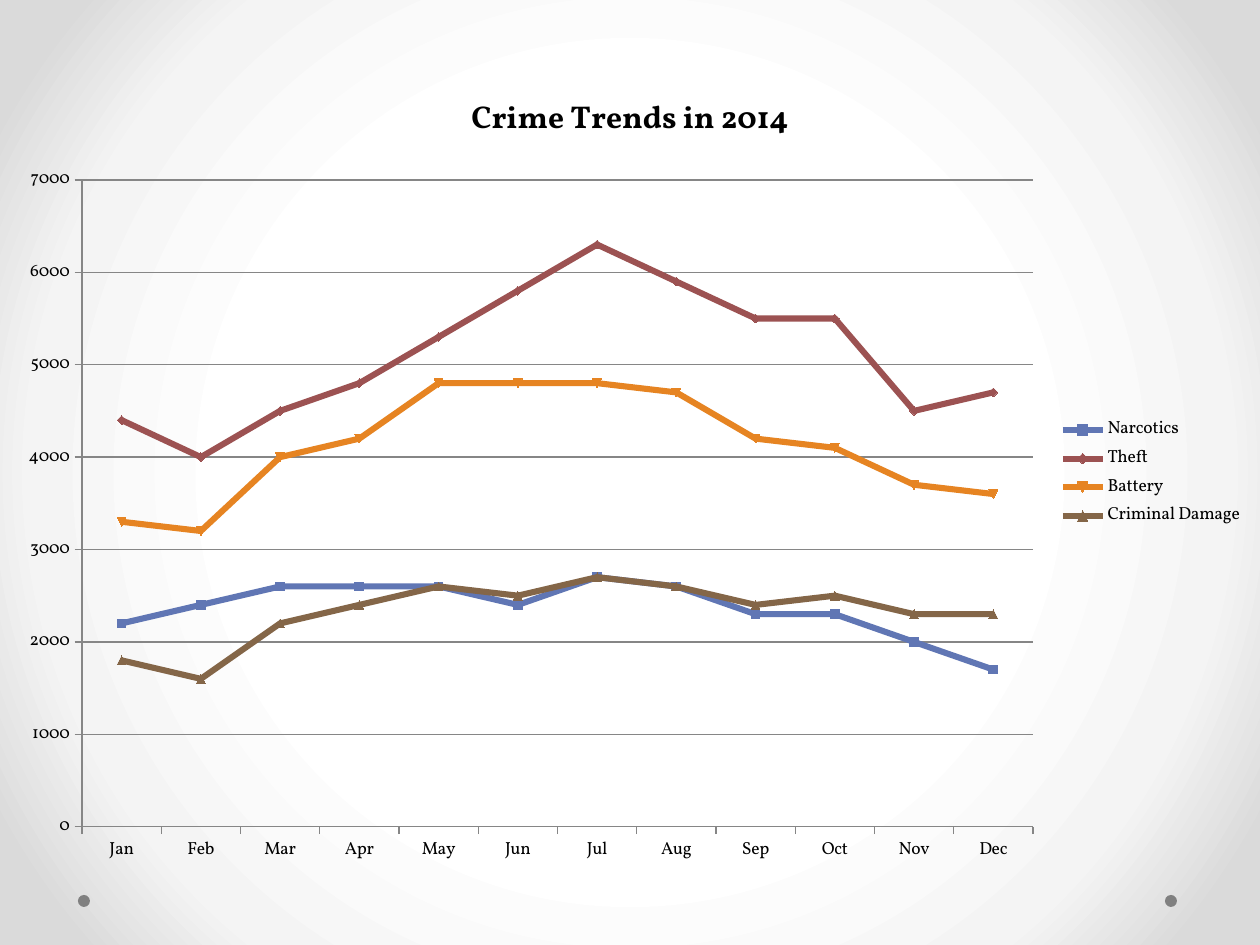
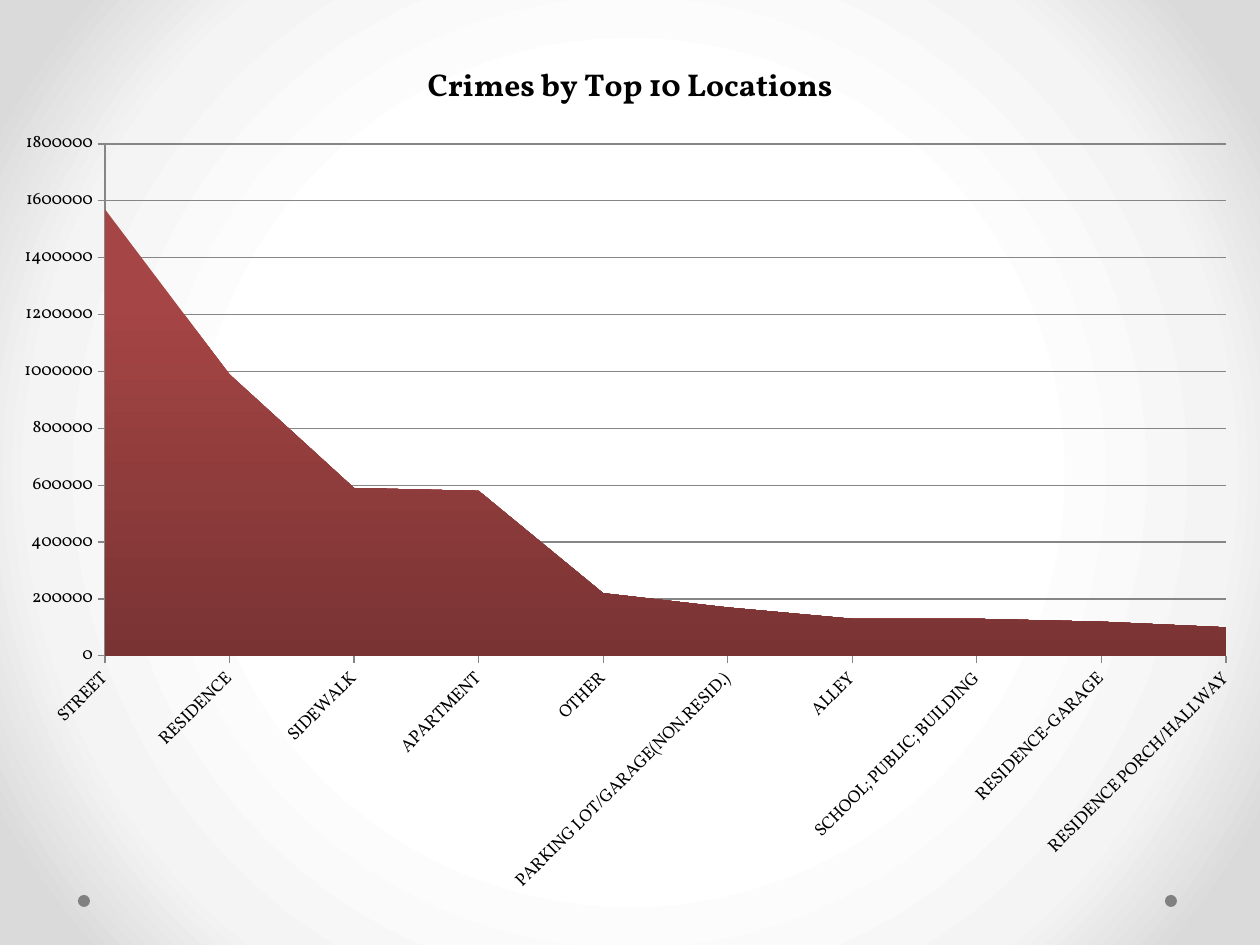
from pptx import Presentation
from pptx.chart.data import CategoryChartData as ChartData
from pptx.dml.color import RGBColor
from pptx.enum.chart import XL_CHART_TYPE as CT, XL_LEGEND_POSITION as LP, XL_TICK_MARK as TM
from pptx.enum.shapes import MSO_SHAPE as SHAPE
from pptx.oxml import parse_xml
from pptx.oxml.ns import nsdecls, qn
from pptx.util import Pt

PX_PER_INCH = 126
SLIDE_W, SLIDE_H = 1260, 945
FONT = "Vollkorn"

BLACK = RGBColor(0x00, 0x00, 0x00)
DOT_GREY = RGBColor(0x80, 0x80, 0x80)
AXIS_GREY = RGBColor(0x86, 0x86, 0x86)
BLUE = RGBColor(0x60, 0x76, 0xB4)
RED = RGBColor(0x9C, 0x52, 0x52)
ORANGE = RGBColor(0xE6, 0x84, 0x22)
BROWN = RGBColor(0x84, 0x66, 0x48)
AREA_TOP = RGBColor(0xA6, 0x45, 0x45)
AREA_BOTTOM = RGBColor(0x7A, 0x33, 0x33)
BACKGROUND_STOPS = [
    (50, RGBColor(0xFF, 0xFF, 0xFF)),
    (76, RGBColor(0xF4, 0xF4, 0xF4)),
    (92, RGBColor(0xDA, 0xDA, 0xDA)),
]

LABEL_FORMAT = {"name": FONT, "size": Pt(10), "bold": False}
TITLE_FORMAT = {"name": FONT, "size": Pt(18), "bold": True}

DOT_LEFTS, DOT_TOP, DOT_SIZE = (78, 1165), 895, 12

MONTHS = ["Jan", "Feb", "Mar", "Apr", "May", "Jun",
          "Jul", "Aug", "Sep", "Oct", "Nov", "Dec"]
CRIMES = [
    ("Narcotics", BLUE,
     [2200, 2400, 2600, 2600, 2600, 2400, 2700, 2600, 2300, 2300, 2000, 1700]),
    ("Theft", RED,
     [4400, 4000, 4500, 4800, 5300, 5800, 6300, 5900, 5500, 5500, 4500, 4700]),
    ("Battery", ORANGE,
     [3300, 3200, 4000, 4200, 4800, 4800, 4800, 4700, 4200, 4100, 3700, 3600]),
    ("Criminal Damage", BROWN,
     [1800, 1600, 2200, 2400, 2600, 2500, 2700, 2600, 2400, 2500, 2300, 2300]),
]
LOCATIONS = {
    "STREET": 1570000,
    "RESIDENCE": 990000,
    "SIDEWALK": 590000,
    "APARTMENT": 580000,
    "OTHER": 220000,
    "PARKING LOT/GARAGE(NON.RESID.)": 170000,
    "ALLEY": 130000,
    "SCHOOL; PUBLIC; BUILDING": 130000,
    "RESIDENCE-GARAGE": 120000,
    "RESIDENCE PORCH/HALLWAY": 100000,
}


def px(n):
    return round(n * 914400 / PX_PER_INCH)


def format_font(font, values):
    for name, value in values.items():
        setattr(font, name, value)
    font.color.rgb = BLACK


def add_background(slide):
    stops = "".join(f'<a:gs pos="{pos * 1000}"><a:srgbClr val="{color}"/></a:gs>'
                    for pos, color in BACKGROUND_STOPS)
    bg = parse_xml(
        f'<p:bg {nsdecls("p", "a")}><p:bgPr><a:gradFill rotWithShape="1">'
        f'<a:gsLst>{stops}</a:gsLst><a:path path="circle">'
        '<a:fillToRect l="50000" t="50000" r="50000" b="50000"/></a:path>'
        '</a:gradFill><a:effectLst/></p:bgPr></p:bg>')
    slide.element.cSld.insert(0, bg)


def add_dot(slide, left):
    sp = slide.shapes.add_shape(SHAPE.OVAL, px(left), px(DOT_TOP),
                                px(DOT_SIZE), px(DOT_SIZE))
    sp.shadow.inherit = False
    sp.fill.solid()
    sp.fill.fore_color.rgb = DOT_GREY
    sp.line.fill.background()


def add_base_slide(prs):
    slide = prs.slides.add_slide(prs.slide_layouts[6])
    add_background(slide)
    for left in DOT_LEFTS:
        add_dot(slide, left)
    return slide


def place_plot(chart, frame, plot):
    sizes = {"x": (plot[0] - frame[0]) / frame[2], "y": (plot[1] - frame[1]) / frame[3],
             "w": plot[2] / frame[2], "h": plot[3] / frame[3]}
    area = chart.element.xpath(".//c:plotArea")[0] if hasattr(chart, "element") \
        else chart._chartSpace.xpath(".//c:plotArea")[0]
    for old in area.findall(qn("c:layout")):
        area.remove(old)
    values = "".join(f'<c:{k} val="{v:.4f}"/>' for k, v in sizes.items())
    area.insert(0, parse_xml(
        f'<c:layout {nsdecls("c")}><c:manualLayout><c:layoutTarget val="inner"/>'
        f'<c:xMode val="edge"/><c:yMode val="edge"/>{values}'
        '</c:manualLayout></c:layout>'))


def format_line(line):
    line.color.rgb = AXIS_GREY
    line.width = Pt(0.75)


def format_axes(chart, maximum, step):
    for axis in (chart.category_axis, chart.value_axis):
        axis.major_tick_mark = TM.OUTSIDE
        axis.minor_tick_mark = TM.NONE
        format_line(axis.format.line)
        format_font(axis.tick_labels.font, LABEL_FORMAT)
    chart.category_axis.has_major_gridlines = False
    values = chart.value_axis
    values.minimum_scale, values.maximum_scale, values.major_unit = 0, maximum, step
    values.has_major_gridlines = True
    format_line(values.major_gridlines.format.line)
    values.tick_labels.number_format = "General"
    values.tick_labels.number_format_is_linked = False


def add_chart(slide, kind, title, cats, series, frame, plot, maximum, step):
    data = ChartData()
    data.categories = cats
    for name, vals in series:
        data.add_series(name, vals)
    chart = slide.shapes.add_chart(kind, *map(px, frame), data).chart
    format_font(chart.font, LABEL_FORMAT)
    chart.has_legend = False
    chart.has_title = True
    p = chart.chart_title.text_frame.paragraphs[0]
    r = p.add_run()
    r.text = title
    format_font(r.font, TITLE_FORMAT)
    chart.chart_title.include_in_layout = False
    chart.plots[0].vary_by_categories = False
    format_axes(chart, maximum, step)
    place_plot(chart, frame, plot)
    return chart


def add_trends(slide):
    chart = add_chart(slide, CT.LINE_MARKERS, "Crime Trends in 2014", MONTHS,
                      [(name, vals) for name, _, vals in CRIMES],
                      (4, 66, 1252, 814), (82, 180, 951, 647), 7000, 1000)
    chart.has_legend = True
    chart.legend.position = LP.RIGHT
    chart.legend.include_in_layout = False
    format_font(chart.legend.font, LABEL_FORMAT)
    for s, (_, color, _) in zip(chart.plots[0].series, CRIMES):
        s.smooth = False
        s.format.line.color.rgb = color
        s.format.line.width = Pt(3.5)


def add_locations(slide):
    chart = add_chart(slide, CT.AREA, "Crimes by Top 10 Locations", list(LOCATIONS),
                      [("Series 1", list(LOCATIONS.values()))],
                      (0, 33, 1260, 878), (105, 144, 1121, 512), 1800000, 200000)
    labels = chart.category_axis._element.find(qn("c:txPr"))
    labels.find(qn("a:bodyPr")).set("rot", "-2700000")
    chart.value_axis._element.find(qn("c:crossBetween")).set("val", "midCat")
    fill = chart.plots[0].series[0].format.fill
    fill.gradient()
    fill.gradient_angle = 270
    stops = zip(fill.gradient_stops, (0.2, 1), (AREA_TOP, AREA_BOTTOM))
    for stop, position, color in stops:
        stop.position = position
        stop.color.rgb = color


def main():
    prs = Presentation()
    prs.slide_width, prs.slide_height = px(SLIDE_W), px(SLIDE_H)
    for add_content in (add_trends, add_locations):
        add_content(add_base_slide(prs))
    prs.save("out.pptx")


if __name__ == "__main__":
    main()
